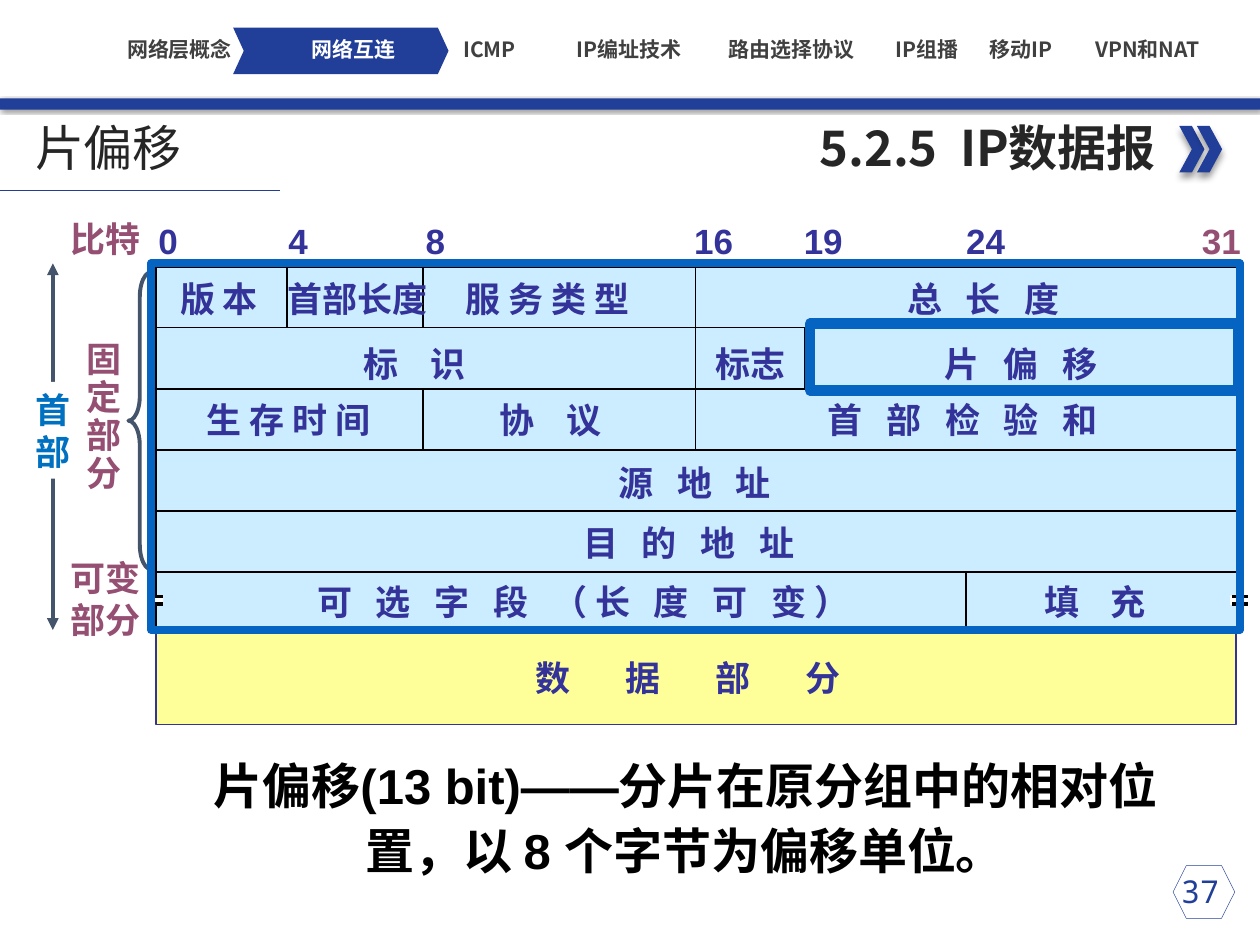
from lxml import etree
from pptx import Presentation
from pptx.dml.color import RGBColor
from pptx.enum import shapes, text
from pptx.oxml import ns
from pptx.util import Pt

NAVY = RGBColor(0x21, 0x3F, 0x99)
INDIGO = RGBColor(0x33, 0x33, 0x99)
PLUM = RGBColor(0x95, 0x4F, 0x72)
SLATE = RGBColor(0x44, 0x54, 0x6A)
AZURE = RGBColor(0x00, 0x70, 0xC0)
FRAME_BLUE = RGBColor(0x05, 0x63, 0xC1)
PALE_BLUE = RGBColor(0xCC, 0xEC, 0xFF)
PALE_YELLOW = RGBColor(0xFF, 0xFF, 0x99)
CHARCOAL = RGBColor(0x26, 0x26, 0x26)
GRAY = RGBColor(0x40, 0x40, 0x40)
BLACK = RGBColor(0, 0, 0)
WHITE = RGBColor(255, 255, 255)
CJK = "Noto Sans CJK SC"
SHAPE = shapes.MSO_SHAPE
LEFT, CENTER, RIGHT = text.PP_ALIGN.LEFT, text.PP_ALIGN.CENTER, text.PP_ALIGN.RIGHT

TITLE = "片偏移"
SECTION = "5.2.5  IP数据报"
EXPLANATION = "片偏移(13 bit)——分片在原分组中的相对位置，以 8 个字节为偏移单位。"
PAGE = "37"
CURRENT_TAB = "网络互连"
TABS = [("网络层概念", 50.4), (CURRENT_TAB, 149.8), ("ICMP", 227.5),
        ("IP编址技术", 307.4), ("路由选择协议", 400.3), ("IP组播", 477.4),
        ("移动IP", 531.4), ("VPN和NAT", 603.4)]
BITS = [("0", 83.5), ("4", 157.7), ("8", 236.2), ("16", 389.5),
        ("19", 452.2), ("24", 545), ("31", 679.7)]
# Each row: top, then fields as (label, left, width, letter spacing)
FIELD_ROWS = [
    (154.8, [("版 本", 95.8, 60.5, 0), ("首部长度", 157, 95.8, 0),
             ("服 务 类 型", 259.2, 112.3, 0), ("总 长 度", 511.2, 108.7, 4.5)]),
    (192.2, [("标 识", 200.9, 77, 6.7), ("标志", 401.8, 54.7, 0),
             ("片 偏 移", 532.8, 108.7, 4.5)]),
    (223.9, [("生 存 时 间", 110.9, 112.3, 0), ("协 议", 278.6, 77, 6.7),
             ("首 部 检 验 和", 465.8, 182.9, 4.5)]),
    (259.9, [("源 地 址", 346.3, 108.7, 4.5)]),
    (294.5, [("目 的 地 址", 326.2, 145.4, 4.5)]),
    (328.3, [("可 选 字 段 （长 度 可 变）", 174.2, 328.3, 4.5),
             ("填 充", 589.7, 77, 6.7)]),
    (371.5, [("数 据 部 分", 298.8, 205, 13.4)]),
]
GRID_TOP, ROW_HEIGHT = 152.3, 34.9
GRID_LEFT, GRID_RIGHT = 87.8, 708.5
# Column dividers: x, first row, last row (exclusive)
DIVIDERS = [(164.2, 0, 1), (241.9, 0, 1), (241.9, 2, 3),
            (397.4, 0, 3), (460.1, 1, 2), (552.2, 5, 6)]
SIDE_LABELS = [(["比特"], 33.1, 121, 54.7, 31, 1),
               (["固", "定", "部", "分"], 42.5, 192.2, 34.6, 94.3, 0.9),
               (["可变", "部分"], 33.1, 314.6, 54.7, 55.4, 1)]

presentation = Presentation()
presentation.slide_width, presentation.slide_height = Pt(720), Pt(540)
slide = presentation.slides.add_slide(presentation.slide_layouts[1])


def add_element(parent, tag, **attributes):
    return etree.SubElement(parent, ns.qn(tag), attributes)


def add_shadow(shape, blur, distance, degrees):
    effects = add_element(shape._element.spPr, "a:effectLst")
    shadow = add_element(effects, "a:outerShdw", blurRad=str(Pt(blur)),
                         dist=str(Pt(distance)), dir=str(degrees * 60000))
    color = add_element(shadow, "a:srgbClr", val="000000")
    add_element(color, "a:alpha", val="40000")


def add_shape(kind, left, top, width, height, fill=None, line=None, weight=1, shadow=None):
    shape = slide.shapes.add_shape(kind, Pt(left), Pt(top), Pt(width), Pt(height))
    if shadow:
        add_shadow(shape, *shadow)
    else:
        shape.shadow.inherit = False
    if fill is None:
        shape.fill.background()
    else:
        shape.fill.solid()
        shape.fill.fore_color.rgb = fill
    if line is None:
        shape.line.fill.background()
    else:
        shape.line.color.rgb = line
        shape.line.width = Pt(weight)
    return shape


def add_line(x1, y1, x2, y2, color=BLACK, weight=1, arrows=False):
    line = slide.shapes.add_connector(shapes.MSO_CONNECTOR.STRAIGHT, Pt(x1), Pt(y1), Pt(x2), Pt(y2))
    line.line.color.rgb = color
    line.line.width = Pt(weight)
    if arrows:
        for end in ("a:headEnd", "a:tailEnd"):
            add_element(line.line._ln, end, type="triangle")
    add_element(line._element.spPr, "a:effectLst")


def write(shape, lines, size, color, font=CJK, bold=True, align=LEFT,
          line_spacing=1, letter_spacing=0, wrap=True, middle=False):
    frame = shape.text_frame
    frame.text = "\n".join(lines)
    frame.word_wrap = wrap
    frame.auto_size = text.MSO_AUTO_SIZE.NONE
    frame.vertical_anchor = text.MSO_ANCHOR.MIDDLE if middle else text.MSO_ANCHOR.TOP
    for paragraph in frame.paragraphs:
        paragraph.alignment = align
        paragraph.line_spacing = line_spacing
        paragraph.space_before = Pt(0)
        properties = paragraph._p.get_or_add_pPr()
        properties.set("marL", "0")
        properties.set("indent", "0")
        add_element(properties, "a:buNone")
        paragraph.font.name = font
        paragraph.font.size = Pt(size)
        paragraph.font.bold = bold
        paragraph.font.color.rgb = color
        run_defaults = paragraph.font._element
        add_element(run_defaults, "a:ea", typeface=CJK)
        if letter_spacing:
            run_defaults.set("spc", str(round(letter_spacing * 100)))
    return frame


def place(shape, left, top, width, height):
    shape.left, shape.top, shape.width, shape.height = Pt(left), Pt(top), Pt(width), Pt(height)
    return shape


def add_text(lines, left, top, width, height, size, color, **style):
    box = slide.shapes.add_textbox(Pt(left), Pt(top), Pt(width), Pt(height))
    return write(box, lines, size, color, **style)


# Heading
add_shape(SHAPE.RECTANGLE, 0, 56.2, 720, 6.5, NAVY, shadow=(2, 1, 45))
for left in (673.9, 684):
    add_shape(SHAPE.CHEVRON, left, 72, 14.4, 26.6, NAVY, shadow=(4, 3, 90))
add_text([SECTION], 54.7, 63.4, 612.7, 41, 28, CHARCOAL, align=RIGHT)
title = write(place(slide.shapes.title, 0, 66.2, 186.5, 35.3), [TITLE], 28, CHARCOAL,
              bold=False, middle=True)
title.margin_left = Pt(20)
add_line(0, 108.7, 159.8, 108.7, NAVY, 0.5)

# Navigation tabs
marker = add_shape(SHAPE.CHEVRON, 133.2, 15.8, 123.1, 26.6, NAVY)
marker.adjustments[0] = 0.23
for label, left in TABS:
    frame = add_text([label], left, 20.9, 104.4, 14.4, 12, WHITE if label == CURRENT_TAB else GRAY,
                     align=CENTER, middle=True)
    frame.margin_left = frame.margin_right = frame.margin_top = frame.margin_bottom = 0

# Header grid
add_shape(SHAPE.RECTANGLE, 88.6, 151.9, 619.2, 208.1, PALE_BLUE, BLACK, 2)
add_shape(SHAPE.RECTANGLE, 89.3, 360.7, 617, 53.3, PALE_YELLOW, INDIGO)
for row in range(1, 6):
    y = GRID_TOP + row * ROW_HEIGHT
    add_line(GRID_LEFT, y, GRID_RIGHT, y)
for x, first, last in DIVIDERS:
    add_line(x, GRID_TOP + first * ROW_HEIGHT, x, GRID_TOP + last * ROW_HEIGHT)
for label, left in BITS:
    add_text([label], left, 121.7, 25.9 if len(label) == 1 else 36.7, 31, 20,
             PLUM if label == "31" else INDIGO, font="Arial", wrap=False)
for top, fields in FIELD_ROWS:
    for label, left, width, spacing in fields:
        add_text([label], left, top, width + spacing, 31, 20, INDIGO, font="Arial",
                 letter_spacing=spacing, wrap=False)

# Break marks on both edges of the variable part
for left in (83.2, 702.9):
    add_shape(SHAPE.RECTANGLE, left, 340.2, 10.1, 5.4, WHITE)
    for y in (340.9, 345.2):
        add_line(left + 1, y, left + 10, y, weight=2)

# Side labels
brace = add_shape(SHAPE.LEFT_BRACE, 73.4, 155.5, 13, 169.9, line=SLATE, weight=2.25)
brace.adjustments[0] = 1.08
for lines, left, top, width, height, spacing in SIDE_LABELS:
    add_text(lines, left, top, width, height, 20, PLUM, font="Arial",
             line_spacing=spacing, wrap=False)
add_line(30.2, 150.5, 30.2, 360, SLATE, 2.25, arrows=True)
header_label = add_shape(SHAPE.RECTANGLE, 13, 218.2, 34.6, 55.4, WHITE)
write(header_label, ["首", "部"], 20, AZURE, font="Arial", wrap=False)

# Frames, explanation and page number
add_shape(SHAPE.RECTANGLE, 86.4, 150.5, 622.1, 209.5, line=FRAME_BLUE, weight=4.5)
add_shape(SHAPE.RECTANGLE, 463, 185, 244.8, 38.2, line=FRAME_BLUE, weight=6)
write(place(slide.placeholders[1], 102.2, 424.8, 578.9, 82.1), [EXPLANATION], 28, BLACK,
      font="Arial", align=CENTER, line_spacing=1.1)
add_shape(SHAPE.HEXAGON, 670.3, 494.6, 35.3, 30.2, line=NAVY, weight=0.25)
add_text([PAGE], 654.5, 494.6, 62.6, 28.8, 18, NAVY, font="Noto Sans Mono", bold=False, align=CENTER)

presentation.save("out.pptx")
